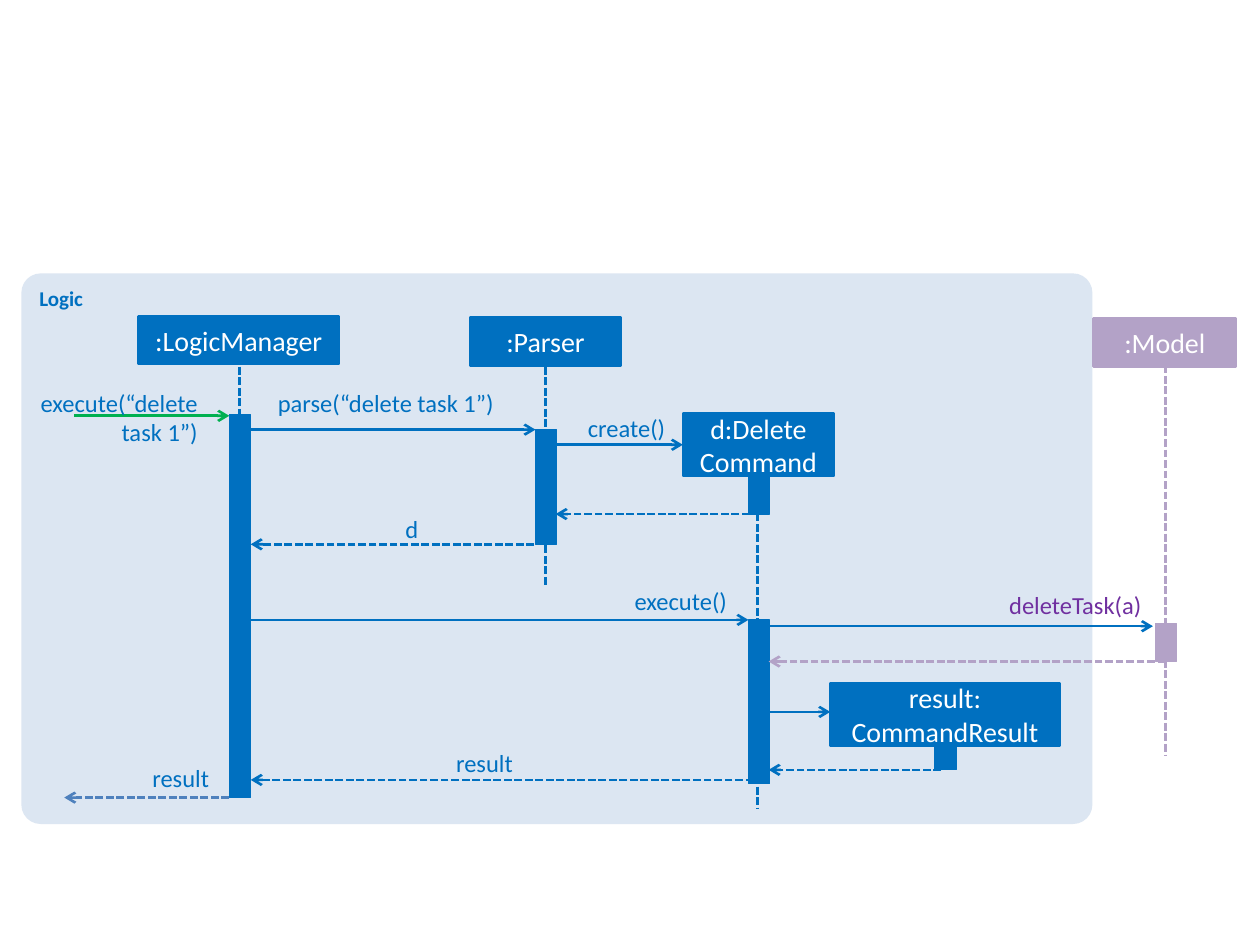
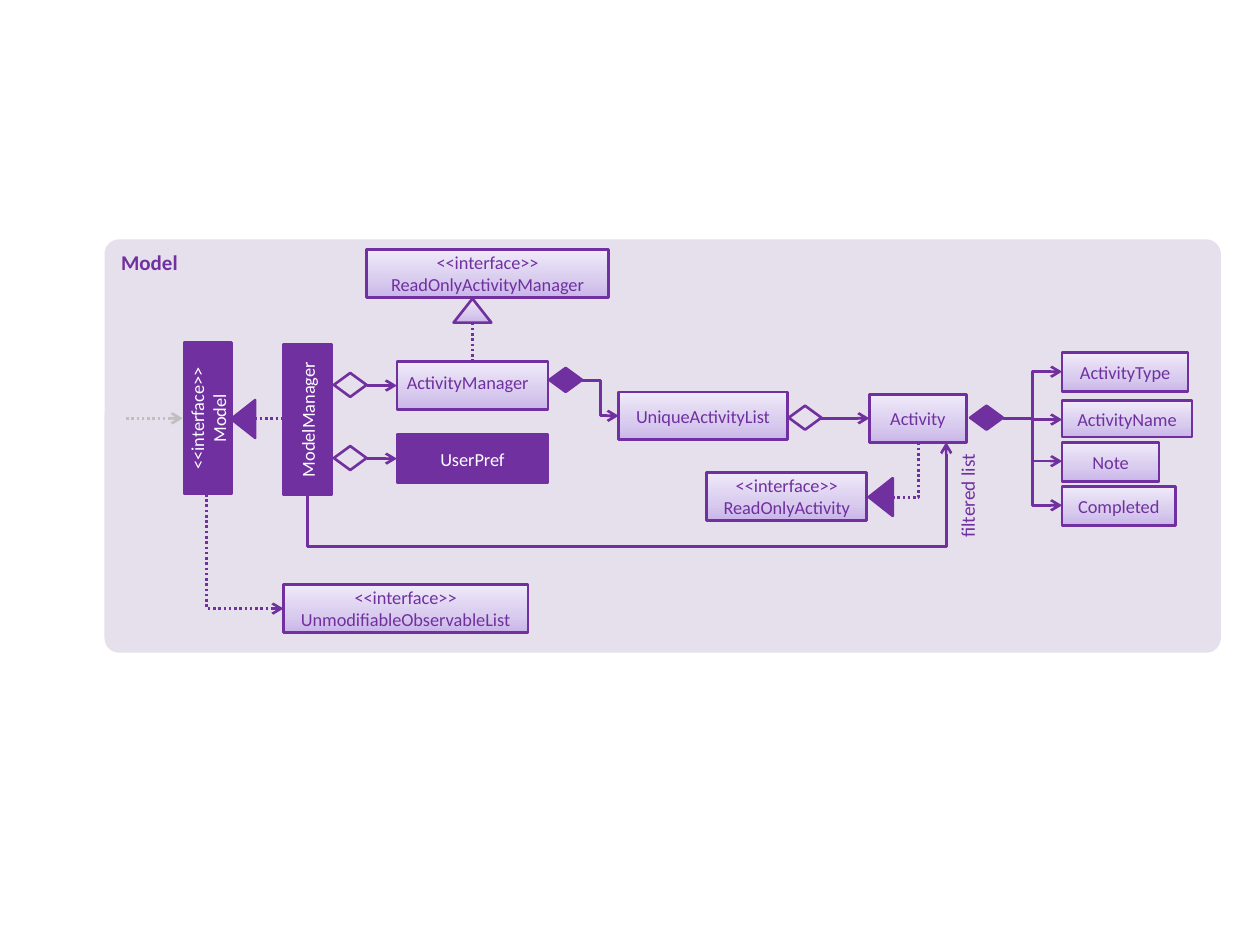
import copy
import dataclasses
from typing import Any, Optional

import pptx
import pptx.dml.color
import pptx.enum.dml
import pptx.enum.shapes
import pptx.enum.text
import pptx.oxml.ns
import pptx.oxml.xmlchemy
import pptx.shapes.autoshape
import pptx.slide
import pptx.util

Inches = pptx.util.Inches
Shape = pptx.enum.shapes.MSO_SHAPE
Align = pptx.enum.text.PP_ALIGN
Anchor = pptx.enum.text.MSO_ANCHOR
Dash = pptx.enum.dml.MSO_LINE
qn = pptx.oxml.ns.qn
new_element = pptx.oxml.xmlchemy.OxmlElement


@dataclasses.dataclass(frozen=True)
class Theme:
    font: str = "Calibri"
    blue: str = "0070C0"
    light_blue: str = "DCE6F2"
    steel: str = "4F81BD"
    green: str = "00B050"
    purple: str = "7030A0"
    lilac: str = "B3A2C7"
    light_purple: str = "E6E0EC"
    grey: str = "BFBFBF"
    white: str = "FFFFFF"
    gradient: tuple = ((0, "C9B5E8"), (0.35, "D8CBEE"), (1, "F0EAF9"))
    title_size: float = 12
    object_size: float = 16
    message_size: float = 14
    class_size: float = 10.5
    note_size: float = 11
    line_width: float = 1.5
    bar_width: float = 0.75


T = Theme()


@dataclasses.dataclass(frozen=True)
class Node:
    x: float
    y: float
    w: float
    h: float
    text: str = ""
    fill: Any = T.blue
    line: Optional[str] = T.blue
    color: str = T.white
    size: float = T.object_size
    kind: Any = Shape.RECTANGLE
    rotation: float = 0
    width: float = T.line_width


@dataclasses.dataclass(frozen=True)
class Link:
    x1: float
    y1: float
    x2: float
    y2: float
    color: str = T.blue
    dash: Any = None
    arrow: bool = True
    bends: int = 1
    rotation: float = 0
    adjust: tuple = ()


@dataclasses.dataclass(frozen=True)
class Label:
    x: float
    y: float
    w: float
    h: float
    text: str
    color: str = T.blue
    size: float = T.message_size
    align: Any = Align.RIGHT
    inset: bool = False
    rotation: float = 0


def rgb(value: str) -> pptx.dml.color.RGBColor:
    return pptx.dml.color.RGBColor.from_string(value)


def apply(target: Any, values: dict) -> None:
    for name, value in values.items():
        setattr(target, name, value)


def write(sp: Any, text: str, size: float, color: str, align: Any,
          anchor: Any = Anchor.TOP, bold: bool = False) -> None:
    tf = sp.text_frame
    tf.text = text
    apply(tf, {"word_wrap": True, "vertical_anchor": anchor})
    for p in tf.paragraphs:
        p.alignment = align
        for r in p.runs:
            apply(r.font, {"name": T.font, "size": pptx.util.Pt(size), "bold": bold})
            r.font.color.rgb = rgb(color)
        for br in p._p.findall(qn("a:br")):
            br.append(copy.deepcopy(p.runs[0]._r.rPr))


def fill_gradient(sp: pptx.shapes.autoshape.Shape) -> None:
    sp.fill.gradient()
    sp.fill.gradient_angle = 90
    stops = sp.element.spPr.find(".//" + qn("a:gsLst"))
    stops.append(copy.deepcopy(stops[-1]))
    for stop, (position, color) in zip(sp.fill.gradient_stops, T.gradient):
        stop.position = position
        stop.color.rgb = rgb(color)


def draw_node(s: pptx.slide.Slide, node: Node) -> pptx.shapes.autoshape.Shape:
    sp = s.shapes.add_shape(node.kind, *map(Inches, (node.x, node.y, node.w, node.h)))
    sp.shadow.inherit = False
    sp.rotation = node.rotation
    if node.fill is None:
        sp.fill.background()
    elif node.fill == T.gradient:
        fill_gradient(sp)
    else:
        sp.fill.solid()
        sp.fill.fore_color.rgb = rgb(node.fill)
    if node.line:
        sp.line.color.rgb = rgb(node.line)
        sp.line.width = pptx.util.Pt(node.width)
    else:
        sp.line.fill.background()
    if node.text:
        write(sp, node.text, node.size, node.color, Align.CENTER, Anchor.MIDDLE)
    return sp


def draw_panel(s: pptx.slide.Slide, node: Node) -> None:
    sp = draw_node(s, dataclasses.replace(node, text="", line=None, kind=Shape.ROUNDED_RECTANGLE))
    sp.adjustments[0] = 0.035
    write(sp, node.text, T.title_size, node.color, Align.LEFT, bold=True)


def draw_link(s: pptx.slide.Slide, link: Link) -> None:
    kinds = pptx.enum.shapes.MSO_CONNECTOR
    kind = kinds.STRAIGHT if link.bends == 1 else kinds.ELBOW
    cx = s.shapes.add_connector(kind, *map(Inches, (link.x1, link.y1, link.x2, link.y2)))
    cx.rotation = link.rotation
    cx.line.color.rgb = rgb(link.color)
    apply(cx.line, {"width": pptx.util.Pt(T.line_width), "dash_style": link.dash})
    props = cx.element.spPr
    if link.bends > 1:
        geometry = props.find(qn("a:prstGeom"))
        geometry.set("prst", f"bentConnector{link.bends}")
        guides = geometry.find(qn("a:avLst"))
        for i, value in enumerate(link.adjust, 1):
            guide = new_element("a:gd")
            guide.set("name", f"adj{i}")
            guide.set("fmla", f"val {round(value * 100000)}")
            guides.append(guide)
    if link.arrow:
        tail = new_element("a:tailEnd")
        tail.set("type", "arrow")
        props.find(qn("a:ln")).append(tail)
    props.append(new_element("a:effectLst"))


def draw_label(s: pptx.slide.Slide, label: Label) -> None:
    sp = s.shapes.add_textbox(*map(Inches, (label.x, label.y, label.w, label.h)))
    sp.rotation = label.rotation
    write(sp, label.text, label.size, label.color, label.align)
    tf = sp.text_frame
    tf.auto_size = pptx.enum.text.MSO_AUTO_SIZE.SHAPE_TO_FIT_TEXT
    if not label.inset:
        apply(tf, {f"margin_{side}": 0 for side in ("left", "right", "top", "bottom")})


def draw_all(s: pptx.slide.Slide, items: list) -> None:
    draw = {Node: draw_node, Link: draw_link, Label: draw_label}
    for item in items:
        draw[type(item)](s, item)


def lifeline(x: float, top: float, bottom: float, color: str = T.blue) -> Link:
    return Link(x, top, x, bottom, color, Dash.SQUARE_DOT, False)


def bar(x: float, y: float, h: float, color: str = T.blue) -> Node:
    return Node(x, y, 0.17, h, fill=color, line=color, width=T.bar_width)


def message(x1: float, x2: float, y: float, color: str = T.blue) -> Link:
    return Link(x1, y, x2, y, color, Dash.SQUARE_DOT if x2 < x1 else None)


def interface(x: float, y: float, w: float, text: str, h: float = 0.38) -> Node:
    return Node(x, y, w, h, text, T.gradient, T.purple, T.purple, T.class_size)


def solid_class(x: float, y: float, text: str, rotation: float = 0) -> Node:
    return Node(x, y, 1.2, 0.38, text, T.purple, T.purple, size=T.class_size, rotation=rotation)


def diamond(x: float, y: float, fill: Optional[str] = None) -> Node:
    return Node(x, y, 0.26, 0.19, fill=fill, line=T.purple, kind=Shape.FLOWCHART_DECISION)


def triangle(x: float, y: float, rotation: float = 270, fill: Any = T.purple) -> Node:
    return Node(x, y, 0.3, 0.19, fill=fill, line=T.purple,
                kind=Shape.ISOSCELES_TRIANGLE, rotation=rotation)


def build_logic(s: pptx.slide.Slide) -> None:
    draw_panel(s, Node(0.17, 2.17, 8.5, 4.37, "Logic", T.light_blue, color=T.blue))
    draw_all(s, [
        lifeline(1.9, 2.91, 5.75),
        lifeline(4.33, 2.91, 4.65),
        lifeline(6.01, 3.74, 6.42),
        lifeline(9.25, 2.9, 6, T.lilac),
        bar(1.82, 3.29, 3.04),
        bar(4.25, 3.41, 0.91),
        bar(5.94, 3.78, 0.3),
        bar(5.94, 4.92, 1.3),
        bar(7.42, 5.92, 0.19),
        bar(9.17, 4.95, 0.3, T.lilac),
        Node(1.1, 2.51, 1.59, 0.38, ":LogicManager"),
        Node(3.73, 2.52, 1.2, 0.38, ":Parser"),
        Node(5.42, 3.28, 1.2, 0.5, "d:Delete\vCommand"),
        Node(6.59, 5.42, 1.82, 0.5, "result:\vCommandResult"),
        Node(8.68, 2.53, 1.13, 0.38, ":Model", T.lilac, T.lilac),
        message(0.59, 1.82, 3.3, T.green),
        message(1.99, 4.25, 3.41),
        message(4.41, 5.42, 3.53),
        message(5.95, 4.41, 4.08),
        message(4.24, 1.99, 4.32),
        message(1.99, 5.94, 4.92),
        message(6.1, 9.15, 4.97),
        message(9.25, 6.1, 5.25, T.lilac),
        message(6.1, 6.59, 5.65),
        message(7.47, 6.1, 6.11),
        message(5.98, 1.99, 6.19),
        message(1.82, 0.51, 6.33, T.steel),
        Label(0.01, 3.08, 1.56, 0.47, "execute(“delete task 1”)"),
        Label(1.92, 3.08, 2, 0.24, "parse(“delete task 1”)"),
        Label(4.58, 3.28, 0.7, 0.24, "create()"),
        Label(3.08, 4.08, 0.24, 0.24, "d"),
        Label(4.83, 4.65, 0.94, 0.24, "execute()"),
        Label(7.5, 4.68, 1.56, 0.24, "deleteTask(a)", T.purple),
        Label(3.39, 5.94, 0.68, 0.24, "result"),
        Label(0.83, 6.06, 0.83, 0.24, "result"),
    ])


def build_model(s: pptx.slide.Slide) -> None:
    draw_panel(s, Node(0.83, 1.9, 8.86, 3.28, "Model", T.light_purple, color=T.purple))
    dot = Dash.ROUND_DOT
    draw_all(s, [
        solid_class(3.15, 3.45, "UserPref"),
        solid_class(1.84, 3.14, "ModelManager", 270),
        solid_class(1.05, 3.13, "<<interface>>\nModel", 270),
        interface(2.91, 1.98, 1.92, "<<interface>>\vReadOnlyActivityManager"),
        interface(3.15, 2.87, 1.2, ""),
        interface(4.91, 3.11, 1.34, "UniqueActivityList"),
        interface(6.9, 3.13, 0.77, "Activity"),
        interface(5.61, 3.75, 1.27, "<<interface>>\vReadOnlyActivity"),
        interface(2.25, 4.64, 1.94, "<<interface>>\vUnmodifiableObservableList"),
        Link(7.08, 3.95, 7.29, 3.5, T.purple, dot, False, 2),
        Link(5.18, 6.25, 4.77, 1.18, T.purple, bends=4, rotation=90, adjust=(-1.02, 1)),
        Link(2.4, 4.07, 1.49, 4.68, T.purple, dot, bends=2, rotation=270),
        Link(4.62, 3.02, 4.91, 3.3, T.purple, bends=3),
        Link(3.75, 2.56, 3.75, 2.88, T.purple, dot, False),
        Link(2.02, 3.32, 2.26, 3.32, T.purple, dot, False),
        Link(1, 3.32, 1.45, 3.32, T.grey, dot),
        message(2.91, 3.15, 3.06, T.purple),
        message(2.91, 3.15, 3.64, T.purple),
        message(6.52, 6.9, 3.32, T.purple),
        triangle(1.78, 3.23),
        triangle(6.84, 3.85),
        triangle(3.6, 2.37, 0, T.gradient),
        diamond(2.65, 2.96),
        diamond(2.65, 3.54),
        diamond(6.26, 3.22),
        diamond(4.36, 2.92, T.purple),
        diamond(7.7, 3.22, T.purple),
    ])
    parts = (("ActivityType", 2.8, 1, 0.31), ("ActivityName", 3.18, 1.03, 0.29),
             ("Note", 3.51, 0.77, 0.31), ("Completed", 3.86, 0.9, 0.31))
    for text, y, w, h in parts:
        middle = round(y + h / 2, 2)
        draw_node(s, interface(8.43, y, w, text, h))
        draw_link(s, Link(7.96, 3.32, 8.43, middle, T.purple, bends=3))
    draw_all(s, [
        Label(7.2, 3.84, 0.96, 0.29, "filtered list", T.purple, T.note_size,
              inset=True, rotation=270),
        Label(3.13, 2.9, 1.25, 0.28, "ActivityManager", T.purple, T.class_size,
              Align.LEFT, True),
    ])


def main() -> None:
    prs = pptx.Presentation()
    apply(prs, {"slide_width": Inches(10), "slide_height": Inches(7.5)})
    for build in (build_logic, build_model):
        build(prs.slides.add_slide(prs.slide_layouts[6]))
    prs.save("out.pptx")


if __name__ == "__main__":
    main()
